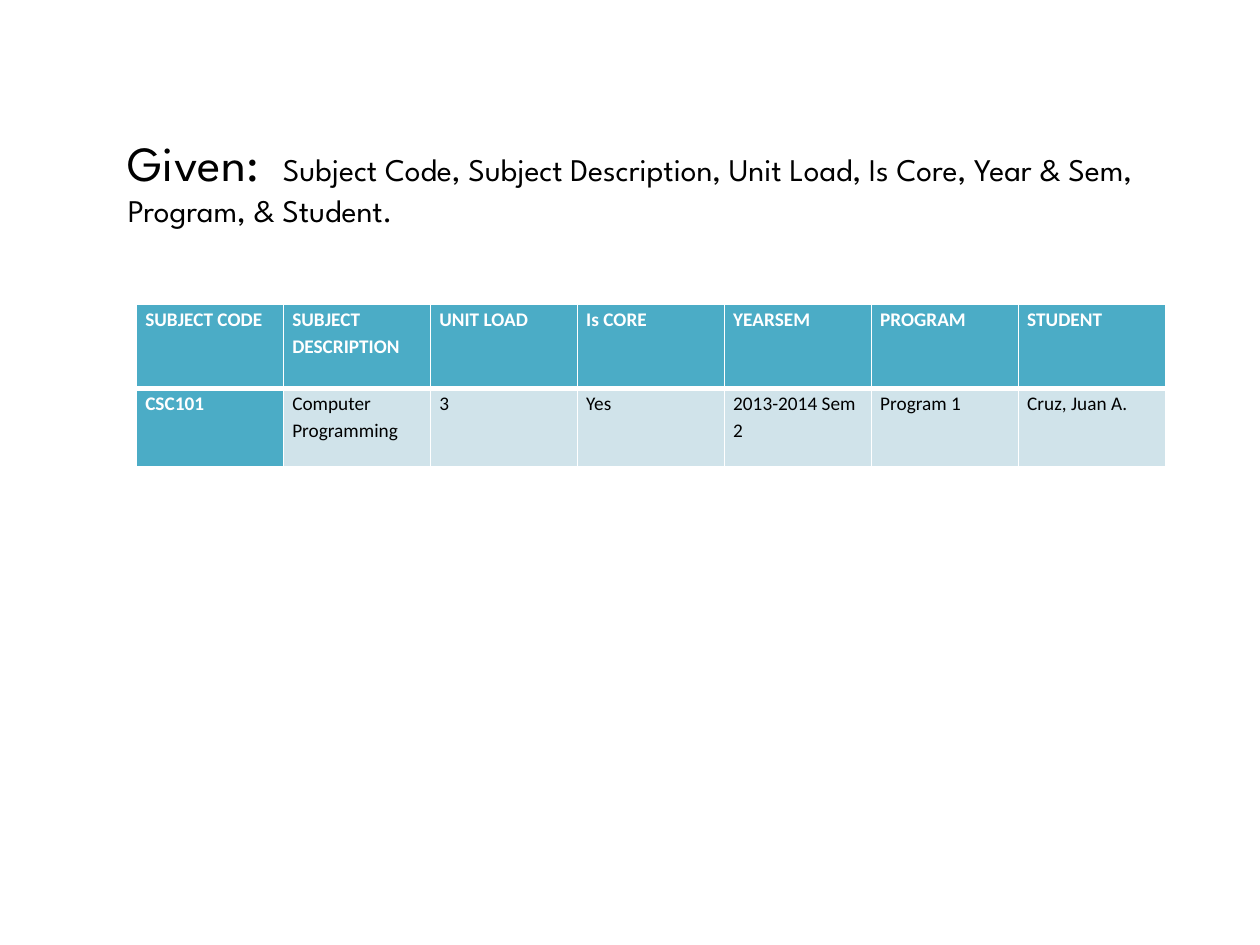
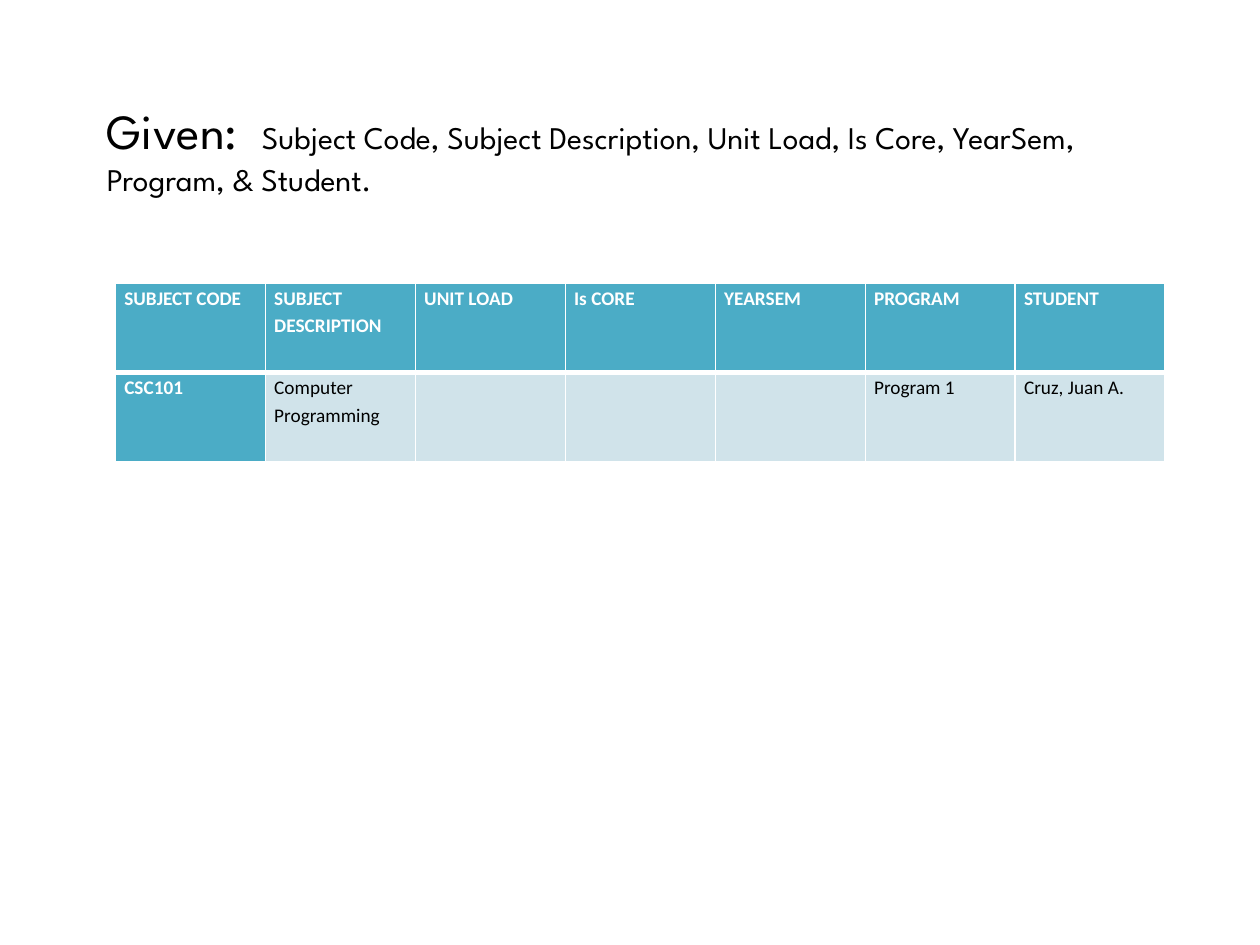
import pptx
import pptx.util
import pptx.dml.color
import pptx.enum.text
import pptx.oxml

HEADS = ["SUBJECT CODE", "SUBJECT DESCRIPTION", "UNIT LOAD", "Is CORE",
         "YEARSEM", "PROGRAM", "STUDENT"]
COURSE = "Computer\nProgramming"
SLIDES = [
    {"given": "Subject Code, Subject Description, Unit Load, Is Core, "
              "Year & Sem, Program, & Student.",
     "record": ["CSC101", COURSE, "3", "Yes", "2013-2014 Sem 2",
                "Program 1", "Cruz, Juan A."],
     "title": (11, 12, 100, 10.5), "table": (13, 29, 98), "rows": (8, 7.5)},
    {"given": "Subject Code, Subject Description, Unit Load, Is Core, "
              "YearSem, Program, & Student.",
     "record": ["CSC101", COURSE, "", "", "", "Program 1", "Cruz, Juan A."],
     "title": (9, 9, 102, 10.5), "table": (11, 27, 100), "rows": (8.5, 8.5)},
]

TEAL, PALE, WHITE, BLACK = "4BACC6", "D0E3EA", "FFFFFF", "000000"
TITLE_FONT, TABLE_FONT = "League Spartan", "Calibri"
GRID_COLS, GRID_ROWS = 120, 90

prs = pptx.Presentation()
prs.slide_width = pptx.util.Inches(10)
prs.slide_height = pptx.util.Inches(7.5)


def across(cols):
    return round(prs.slide_width * cols / GRID_COLS)


def down(rows):
    return round(prs.slide_height * rows / GRID_ROWS)


def rgb(value):
    return pptx.dml.color.RGBColor.from_string(value)


def add_text(p, text, size, font, color=BLACK, bold=False, spacing=None):
    r = p.add_run()
    r.text = text
    r.font.size = pptx.util.Pt(size)
    r.font.name = font
    r.font.bold = bold
    r.font.color.rgb = rgb(color)
    if spacing:
        p.line_spacing = spacing


def set_borders(cell, **widths):
    tcPr = cell._tc.get_or_add_tcPr()
    for i, side in enumerate("LRTB"):
        width = pptx.util.Pt(widths.get(side, 1))
        tcPr.insert(i, pptx.oxml.parse_xml(
            f'<a:ln{side} xmlns:a="http://schemas.openxmlformats.org/drawingml/2006/main" '
            f'w="{width}"><a:solidFill><a:srgbClr val="{WHITE}"/></a:solidFill></a:ln{side}>'))


def add_title(s, box, given):
    x, y, w, h = box
    tf = s.shapes.add_textbox(across(x), down(y), across(w), down(h)).text_frame
    tf.word_wrap = True
    tf.auto_size = pptx.enum.text.MSO_AUTO_SIZE.SHAPE_TO_FIT_TEXT
    p = tf.paragraphs[0]
    add_text(p, "Given:  ", 28, TITLE_FONT)
    add_text(p, given, 18, TITLE_FONT)


def fill_cell(cell, text, header, key):
    strong = header or key
    cell.fill.solid()
    cell.fill.fore_color.rgb = rgb(TEAL if strong else PALE)
    cell.margin_left = cell.margin_right = pptx.util.Inches(0.07)
    cell.margin_top = cell.margin_bottom = 0
    set_borders(cell, **({"B": 3} if header else {"T": 3}))
    tf = cell.text_frame
    for i, line in enumerate(text.split("\n") if text else []):
        p = tf.add_paragraph() if i else tf.paragraphs[0]
        add_text(p, line, 11, TABLE_FONT, color=WHITE if strong else BLACK,
                 bold=strong, spacing=1.15)


def add_record_table(s, box, heights, record):
    x, y, w = box
    table = s.shapes.add_table(2, len(HEADS), across(x), down(y),
                               across(w), down(sum(heights))).table
    for column in table.columns:
        column.width = across(w / len(HEADS))
    for i, values in enumerate([HEADS, record]):
        table.rows[i].height = down(heights[i])
        for j, text in enumerate(values):
            fill_cell(table.cell(i, j), text, header=i == 0, key=j == 0)


for content in SLIDES:
    s = prs.slides.add_slide(prs.slide_layouts[6])
    add_title(s, content["title"], content["given"])
    add_record_table(s, content["table"], content["rows"], content["record"])

prs.save("out.pptx")
